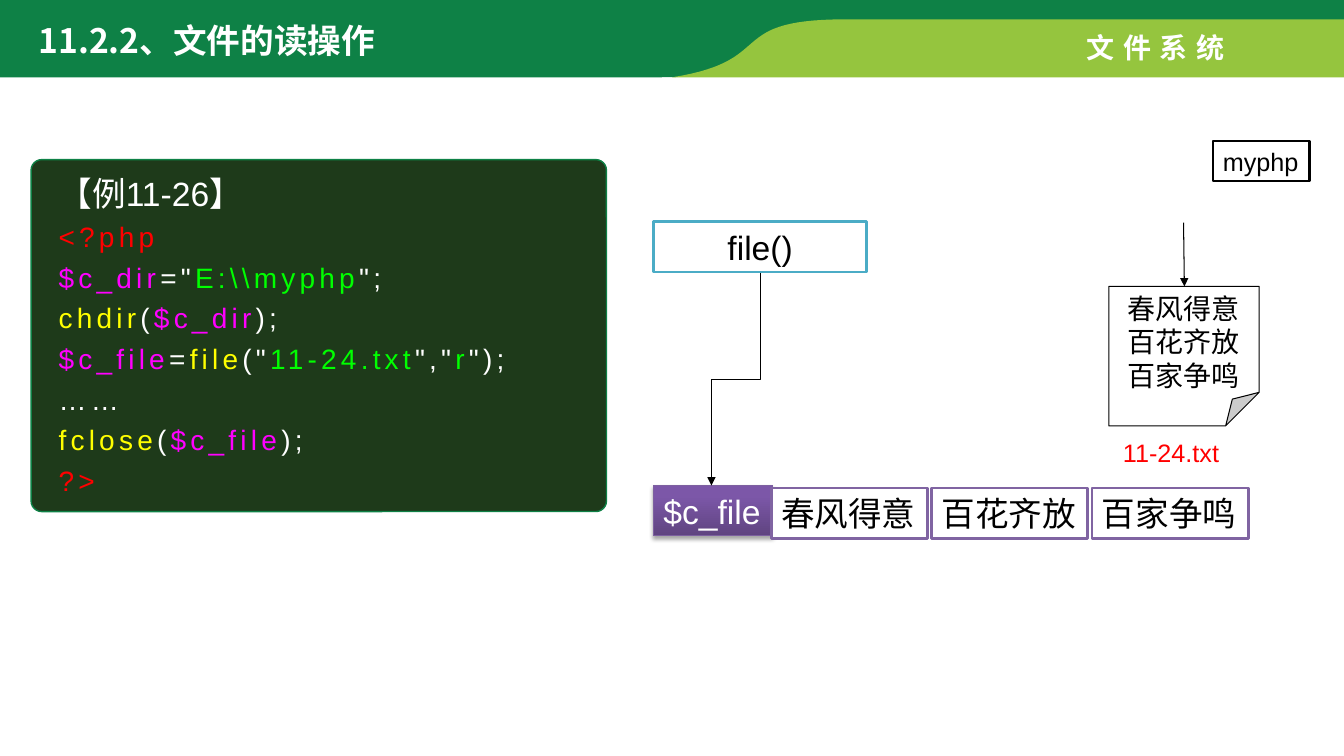
"""Build a slide that explains how file() reads a text file into an array."""
from lxml import etree
from pptx import Presentation
from pptx.dml.color import RGBColor
from pptx.enum.shapes import MSO_CONNECTOR, MSO_SHAPE
from pptx.enum.text import MSO_ANCHOR, MSO_AUTO_SIZE, PP_ALIGN
from pptx.oxml.ns import qn
from pptx.util import Inches, Pt

STRAIGHT, ELBOW = MSO_CONNECTOR.STRAIGHT, MSO_CONNECTOR.ELBOW
RECT, ROUND = MSO_SHAPE.RECTANGLE, MSO_SHAPE.ROUNDED_RECTANGLE
FOLDED = MSO_SHAPE.FOLDED_CORNER
TOP = MSO_ANCHOR.TOP
LEFT, CENTER = PP_ALIGN.LEFT, PP_ALIGN.CENTER
GROW, FIXED = MSO_AUTO_SIZE.SHAPE_TO_FIT_TEXT, MSO_AUTO_SIZE.NONE

WIDTH, HEIGHT = Inches(13.333), Inches(7.5)
COLS, ROWS = 16, 9
CJK = "Noto Sans CJK SC"
COLORS = {
    "white": "FFFFFF", "black": "000000", "band": "0E8146", "swoosh": "95C53E",
    "panel": "1E3A1A", "tag": "FF0000", "var": "FF00FF", "str": "00FF00",
    "func": "FFFF00", "purple": "8064A2", "purple_line": "7D60A0",
    "purple_dark": "5F4480", "purple_light": "7C57A8", "teal": "4BACC6",
}
VERSES = ["春风得意", "百花齐放", "百家争鸣"]
CODE = [
    [("<?php", "tag")],
    [("$c_dir", "var"), ('="', "white"), ("E:\\\\myphp", "str"), ('";', "white")],
    [("chdir", "func"), ("(", "white"), ("$c_dir", "var"), (");", "white")],
    [("$c_file", "var"), ("=", "white"), ("file", "func"), ('("', "white"),
     ("11-24.txt", "str"), ('","', "white"), ("r", "str"), ('");', "white")],
    [("……", "white")],
    [("fclose", "func"), ("(", "white"), ("$c_file", "var"), (");", "white")],
    [("?>", "tag")],
]


def col(n):
    """Return the length of n grid columns."""
    return round(WIDTH * n / COLS)


def row(n):
    """Return the length of n grid rows."""
    return round(HEIGHT * n / ROWS)


def rgb(name):
    """Return a named colour."""
    return RGBColor.from_string(COLORS[name])


def write(s, lines, size=24, color="black", font="Arial", bold=False,
          spacing=0, align=LEFT, leading=None, wrap=False, fit=GROW):
    """Append lines, each a string or a list of (text, colour) runs."""
    tf = s.text_frame
    tf.word_wrap, tf.auto_size, tf.vertical_anchor = wrap, fit, TOP
    for line in lines:
        p = tf.paragraphs[-1]
        if p.runs:
            p = tf.add_paragraph()
        p.alignment = align
        if leading:
            p.line_spacing = Pt(leading)
        for text, tint in [(line, color)] if isinstance(line, str) else line:
            r = p.add_run()
            r.text = text
            r.font.size, r.font.bold, r.font.name = Pt(size), bold, font
            r.font.color.rgb = rgb(tint)
            rpr = r._r.get_or_add_rPr()
            etree.SubElement(rpr, qn("a:ea")).set("typeface", CJK)
            if spacing:
                rpr.set("spc", str(spacing * 100))


def text_box(shapes, x, y, w, h, lines, **fmt):
    """Add a text box on the grid."""
    s = shapes.add_textbox(col(x), row(y), col(w), row(h))
    write(s, lines, **fmt)
    return s


def box(shapes, x, y, w, h, fill, line, weight, kind=RECT, adj=None):
    """Add an outlined preset shape on the grid."""
    s = shapes.add_shape(kind, col(x), row(y), col(w), row(h))
    s.shadow.inherit = False
    s.fill.solid()
    s.fill.fore_color.rgb = rgb(fill)
    s.line.color.rgb = rgb(line)
    s.line.width = Pt(weight)
    if adj:
        guides = s._element.spPr.find(qn("a:prstGeom")).find(qn("a:avLst"))
        guides.clear()
        etree.SubElement(guides, qn("a:gd"), name="adj", fmla=f"val {round(adj * 100000)}")
    return s


def curve(*points, steps=30):
    """Return points along a cubic Bezier curve."""
    weights = [((1 - t) ** 3, 3 * t * (1 - t) ** 2, 3 * t * t * (1 - t), t ** 3)
               for t in (i / steps for i in range(steps + 1))]
    return [tuple(sum(k * p[axis] for k, p in zip(ws, points)) for axis in (0, 1))
            for ws in weights]


def outline(shapes, points, fill):
    """Add a filled closed outline through grid points."""
    (x, y), *rest = [(col(a), row(b)) for a, b in points]
    builder = shapes.build_freeform(x, y)
    builder.add_line_segments(rest, close=True)
    s = builder.convert_to_shape()
    s.shadow.inherit = False
    s.fill.solid()
    s.fill.fore_color.rgb = rgb(fill)
    s.line.fill.background()


def arrow(shapes, x1, y1, x2, y2, kind=STRAIGHT):
    """Add a thin arrow; an elbow leaves downwards and ends downwards."""
    if kind == ELBOW:
        cx, cy = (x1 + x2) / 2, (y1 + y2) / 2
        run, drop = (y2 - y1) / 2, (x1 - x2) / 2
        x1, y1, x2, y2 = cx - run, cy - drop, cx + run, cy + drop
    s = shapes.add_connector(kind, col(x1), row(y1), col(x2), row(y2))
    s.line.color.rgb = rgb("black")
    s.line.width = Pt(0.75)
    sppr = s._element.spPr
    if kind == ELBOW:
        sppr.find(qn("a:xfrm")).set("rot", str(90 * 60000))
    etree.SubElement(sppr.find(qn("a:ln")), qn("a:tailEnd")).set("type", "triangle")
    etree.SubElement(sppr, qn("a:effectLst"))


def shade(s):
    """Give a shape the purple gradient and a soft shadow below."""
    s.fill.gradient()
    s.fill.gradient_angle = 90
    stops = s.fill.gradient_stops
    for stop, name, place in zip(stops, ("purple_dark", "purple_light"), (0, 0.8)):
        stop.color.rgb = rgb(name)
        stop.position = place
    effects = s._element.spPr.find(qn("a:effectLst"))
    shadow = etree.SubElement(effects, qn("a:outerShdw"), blurRad=str(int(Pt(3.1))),
                              dist=str(int(Pt(1.8))), dir=str(90 * 60000),
                              rotWithShape="0")
    tint = etree.SubElement(shadow, qn("a:srgbClr"), val=COLORS["black"])
    etree.SubElement(tint, qn("a:alpha"), val="35000")


def header(shapes):
    """Draw the green header with its two titles."""
    outline(shapes, [(0, 0), (16, 0), (16, 0.29), (9.92, 0.29),
                     *curve((9.71, 0.34), (8.72, 0.53), (9.24, 0.92), (7.86, 0.92)),
                     (0, 0.92)], "band")
    outline(shapes, [(16, 0.23), (16, 0.92),
                     *curve((8, 0.92), (9.28, 0.72), (8.6, 0.23), (10.07, 0.23))],
            "swoosh")
    text_box(shapes, 12.82, 0.31, 1.99, 0.53, ["文件系统"], size=20,
             color="white", bold=True, spacing=6)
    text_box(shapes, 0.34, 0.18, 5.98, 0.6, ["11.2.2、文件的读操作"],
             color="white", font=CJK, bold=True, wrap=True)


def code_panel(shapes):
    """Draw the dark panel with the sample code."""
    box(shapes, 0.37, 1.9, 6.85, 4.19, "panel", "band", 1, ROUND, 0.03)
    s = text_box(shapes, 0.58, 1.99, 6.64, 4.02, ["【例11-26】"],
                 color="white", leading=29, wrap=True)
    write(s, CODE, size=20, spacing=3, leading=29, wrap=True)


def file_diagram(shapes):
    """Draw the text file on disk below its folder."""
    note = box(shapes, 13.2, 3.41, 1.79, 1.66, "white", "black", 0.75, FOLDED, 0.24)
    write(note, VERSES, size=20, align=CENTER, wrap=True, fit=FIXED)
    folder = box(shapes, 14.44, 1.68, 1.15, 0.48, "white", "black", 1.5)
    write(folder, ["myphp"], size=18)
    text_box(shapes, 13.25, 5.15, 1.39, 0.48, ["11-24.txt"], size=18, color="tag")
    arrow(shapes, 14.09, 2.65, 14.1, 3.41)


def array_diagram(shapes):
    """Draw file() filling the array, one line in each cell."""
    var = box(shapes, 7.78, 5.78, 1.42, 0.6, "purple", "purple_line", 0.75)
    shade(var)
    write(var, ["$c_file"], color="white")
    for i, verse in enumerate(VERSES):
        cell = box(shapes, 9.18 + 1.91 * i, 5.81, 1.86, 0.6, "white", "purple", 2)
        write(cell, [verse])
    call = box(shapes, 7.78, 2.64, 2.54, 0.6, "white", "teal", 2)
    write(call, ["file()"], align=CENTER, wrap=True)
    arrow(shapes, 9.05, 3.25, 8.47, 5.78, ELBOW)


def main():
    """Build and save the slide."""
    prs = Presentation()
    prs.slide_width, prs.slide_height = WIDTH, HEIGHT
    shapes = prs.slides.add_slide(prs.slide_layouts[6]).shapes
    for draw in (header, code_panel, file_diagram, array_diagram):
        draw(shapes)
    prs.save("out.pptx")


if __name__ == "__main__":
    main()
